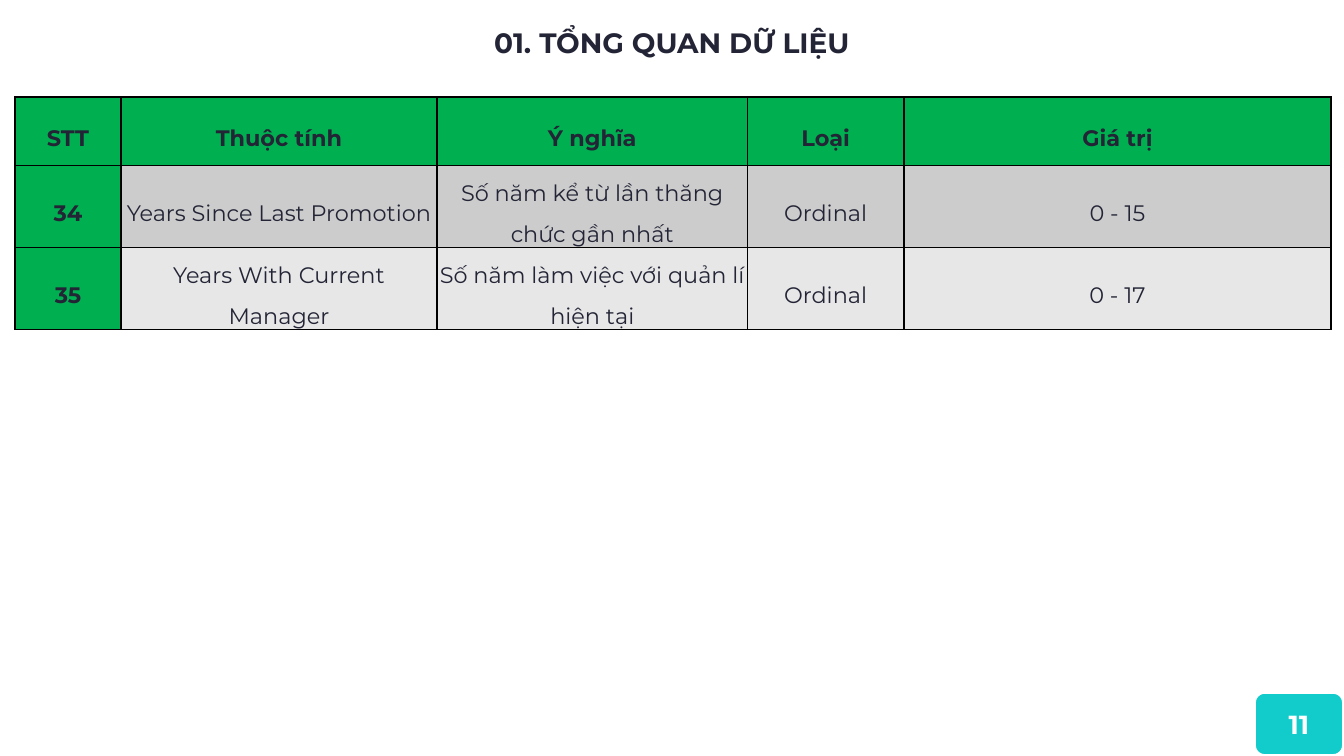
import pptx
import pptx.util
from pptx.dml.color import RGBColor
from pptx.enum.shapes import MSO_SHAPE
from pptx.enum.text import MSO_ANCHOR, PP_ALIGN
from pptx.oxml import parse_xml
from pptx.oxml.ns import nsdecls
from pptx.util import Cm, Pt

TITLE = "01. TỔNG QUAN DỮ LIỆU"
PAGE_NUMBER = "11"
ROWS = [
    ("STT", "Thuộc tính", "Ý nghĩa", "Loại", "Giá trị"),
    ("34", "Years Since Last Promotion", "Số năm kể từ lần thăng chức gần nhất", "Ordinal", "0 - 15"),
    ("35", "Years With Current Manager", "Số năm làm việc với quản lí hiện tại", "Ordinal", "0 - 17"),
]
COLUMN_WIDTHS = [2.01, 5.97, 5.87, 2.95, 8.08]
ROW_HEIGHTS = [1.3, 1.55, 1.55]

FONT = "Montserrat"
INK = RGBColor(0x23, 0x25, 0x36)
WHITE = RGBColor(0xFF, 0xFF, 0xFF)
GREEN = RGBColor(0x00, 0xB0, 0x50)
TEAL = RGBColor(0x12, 0xCC, 0xCB)
BANDS = [RGBColor(0xCC, 0xCC, 0xCC), RGBColor(0xE7, 0xE7, 0xE7)]


def write_text(frame, text, size=12, color=INK, bold=False, line_spacing=None, space_after=None):
    frame.word_wrap = True
    para = frame.paragraphs[0]
    para.alignment = PP_ALIGN.CENTER
    para.line_spacing = line_spacing
    para.space_after = space_after
    span = para.add_run()
    span.text = text
    span.font.name = FONT
    span.font.size = Pt(size)
    span.font.bold = bold
    span.font.color.rgb = color


def fill_cell(cell, color):
    """Draw the black borders, then the fill, in the order the schema asks for."""
    properties = cell._tc.get_or_add_tcPr()
    for side in ("lnL", "lnR", "lnT", "lnB"):
        properties.append(parse_xml(
            f'<a:{side} {nsdecls("a")} w="{Pt(1)}"><a:solidFill>'
            f'<a:srgbClr val="000000"/></a:solidFill></a:{side}>'))
    cell.fill.solid()
    cell.fill.fore_color.rgb = color


def add_title(page):
    title = page.shapes.title
    title.left, title.top, title.width, title.height = Cm(0), Cm(0), Cm(25.4), Cm(1.6)
    title.text_frame.vertical_anchor = MSO_ANCHOR.MIDDLE
    write_text(title.text_frame, TITLE, size=15, bold=True)


def add_page_number(page):
    badge = page.shapes.add_shape(
        MSO_SHAPE.ROUNDED_RECTANGLE, Cm(23.7), Cm(13.08), Cm(1.7), Cm(1.21))
    badge.shadow.inherit = False
    badge.fill.solid()
    badge.fill.fore_color.rgb = TEAL
    badge.line.color.rgb = WHITE
    badge.line.width = Pt(2)
    badge.text_frame.vertical_anchor = MSO_ANCHOR.MIDDLE
    write_text(badge.text_frame, PAGE_NUMBER, size=14, color=WHITE, bold=True)


def add_attribute_table(page):
    table = page.shapes.add_table(
        len(ROWS), len(COLUMN_WIDTHS), Cm(0.28), Cm(1.83),
        Cm(sum(COLUMN_WIDTHS)), Cm(sum(ROW_HEIGHTS))).table
    for column, width in zip(table.columns, COLUMN_WIDTHS):
        column.width = Cm(width)
    for row, height in zip(table.rows, ROW_HEIGHTS):
        row.height = Cm(height)
    for r, texts in enumerate(ROWS):
        for c, text in enumerate(texts):
            cell = table.cell(r, c)
            heading = r == 0 or c == 0
            cell.margin_left = cell.margin_right = Cm(0.05)
            cell.margin_top = cell.margin_bottom = Cm(0)
            cell.vertical_anchor = MSO_ANCHOR.MIDDLE
            fill_cell(cell, GREEN if heading else BANDS[(r - 1) % 2])
            write_text(cell.text_frame, text, bold=heading, line_spacing=1.5, space_after=Pt(8))


def main():
    deck = pptx.Presentation()
    deck.slide_width, deck.slide_height = Cm(25.4), Cm(14.29)
    page = deck.slides.add_slide(deck.slide_layouts[5])
    add_title(page)
    add_page_number(page)
    add_attribute_table(page)
    deck.save("out.pptx")


if __name__ == "__main__":
    main()
